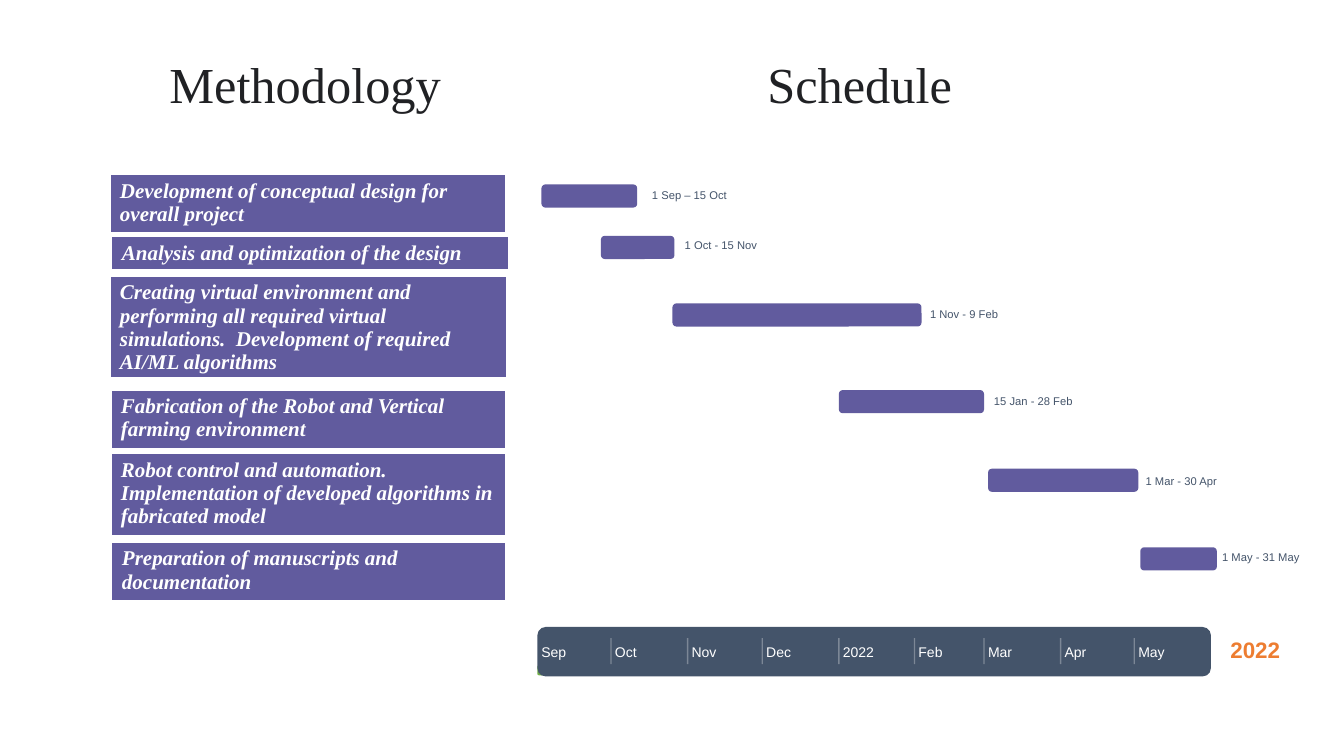
"""Build the methodology and schedule slide with its timeline."""
from dataclasses import dataclass

from lxml import etree
from pptx import Presentation
from pptx.dml.color import RGBColor
from pptx.enum.shapes import MSO_CONNECTOR, MSO_SHAPE
from pptx.enum.text import MSO_ANCHOR, PP_ALIGN
from pptx.oxml.ns import qn
from pptx.util import Pt

LEFT, CENTER, RIGHT = PP_ALIGN.LEFT, PP_ALIGN.CENTER, PP_ALIGN.RIGHT
MIDDLE = MSO_ANCHOR.MIDDLE
ROUNDED = MSO_SHAPE.ROUNDED_RECTANGLE
STRAIGHT = MSO_CONNECTOR.STRAIGHT
PX = 9144


@dataclass(frozen=True)
class Theme:
    serif: str = "Times New Roman"
    sans: str = "Arial"
    white: str = "FFFFFF"
    title: str = "202124"
    purple: str = "615B9E"
    slate: str = "44546A"
    green: str = "70AD47"
    orange: str = "ED7D31"
    title_size: int = 36
    step_size: int = 15
    year_size: int = 16
    month_size: int = 10
    date_size: int = 8


THEME = Theme()

presentation = Presentation()
presentation.slide_width = 1333 * PX
presentation.slide_height = 750 * PX
slide = presentation.slides.add_slide(presentation.slide_layouts[6])
shapes = slide.shapes


def add_text(frame, text, font, size, color, bold=False, italic=False, align=LEFT):
    frame.word_wrap = True
    paragraph = frame.paragraphs[0]
    paragraph.alignment = align
    run = paragraph.add_run()
    run.text = text
    run.font.name = font
    run.font.size = Pt(size)
    run.font.bold = bold
    run.font.italic = italic
    run.font.color.rgb = RGBColor.from_string(color)
    return paragraph


def add_box(left, top, width, height, fill=None):
    box = (left * PX, top * PX, width * PX, height * PX)
    if fill:
        bar = shapes.add_shape(ROUNDED, *box)
        bar.shadow.inherit = False
        bar.fill.solid()
        bar.fill.fore_color.rgb = RGBColor.from_string(fill)
        bar.line.fill.background()
        return bar
    frame = shapes.add_textbox(*box).text_frame
    frame.margin_left = frame.margin_right = 0
    frame.margin_top = frame.margin_bottom = 0
    frame.vertical_anchor = MIDDLE
    return frame


steps = [
    ("Development of conceptual design for overall project", 109, 173, 392, 59),
    ("Analysis and optimization of the design", 111, 235, 393, 34),
    ("Creating virtual environment and performing all required virtual simulations.  "
     "Development of required AI/ML algorithms", 109, 274, 393, 102),
    ("Fabrication of the Robot and Vertical farming environment", 110, 387, 391, 59),
    ("Robot control and automation. Implementation of developed algorithms in "
     "fabricated model", 110, 450, 391, 83),
    ("Preparation of manuscripts and documentation", 111, 538, 390, 59),
]
for text, left, top, width, height in steps:
    table = shapes.add_table(1, 1, left * PX, top * PX, width * PX, height * PX).table
    table.first_row = False
    table.horz_banding = False
    cell = table.cell(0, 0)
    add_text(cell.text_frame, text, THEME.serif, THEME.step_size, THEME.white, True, True)
    properties = cell._tc.get_or_add_tcPr()
    for side, points in (("lnL", 1), ("lnR", 1), ("lnT", 1), ("lnB", 3)):
        border = etree.SubElement(properties, qn(f"a:{side}"), w=str(Pt(points)))
        border_fill = etree.SubElement(border, qn("a:solidFill"))
        etree.SubElement(border_fill, qn("a:srgbClr"), val=THEME.white)
    cell.fill.solid()
    cell.fill.fore_color.rgb = RGBColor.from_string(THEME.purple)

periods = [
    ("1 Sep – 15 Oct", 537, 183, 95, 639, 187, 82),
    ("1 Oct - 15 Nov", 596, 234, 73, 669, 237, 82),
    ("1 Nov - 9 Feb", 667, 301, 247, 919, 305, 71),
    ("15 Jan - 28 Feb", 832, 387, 144, 980, 391, 84),
    ("1 Mar - 30 Apr", 980, 465, 149, 1131, 471, 76),
    ("1 May - 31 May", 1131, 543, 76, 1207, 546, 82),
]
for dates, bar_left, bar_top, bar_width, label_left, label_top, label_width in periods:
    add_box(bar_left, bar_top, bar_width, 23, THEME.purple)
    label = add_box(label_left, label_top, label_width, 13)
    add_text(label, dates, THEME.sans, THEME.date_size, THEME.slate, align=RIGHT)

axis_left, axis_width = 533, 668
add_box(axis_left, 660, 70, 10, THEME.green)
add_box(axis_left, 622, axis_width, 49, THEME.slate)
months = [("Sep", 30), ("Oct", 31), ("Nov", 30), ("Dec", 31), ("2022", 31),
          ("Feb", 28), ("Mar", 31), ("Apr", 30), ("May", 31)]
total_days = sum(days for month, days in months)
elapsed_days = 0
for month, days in months:
    month_left = axis_left + round(axis_width * elapsed_days / total_days)
    if elapsed_days:
        tick = shapes.add_connector(
            STRAIGHT, month_left * PX, 633 * PX, month_left * PX, 659 * PX)
        tick.line.width = Pt(1)
        tick.line.color.rgb = RGBColor.from_string(THEME.white)
        tick_color = tick.line._ln.find(".//" + qn("a:srgbClr"))
        etree.SubElement(tick_color, qn("a:alpha"), val="30000")
        etree.SubElement(tick._element.spPr, qn("a:effectLst"))
    add_text(add_box(month_left + 4, 638, 40, 17), month,
             THEME.sans, THEME.month_size, THEME.white)
    elapsed_days += days

add_text(add_box(1215, 631, 60, 27), "2022", THEME.sans, THEME.year_size,
         THEME.orange, bold=True, align=CENTER)

title = add_box(109, 47, 1180, 71)
title.margin_left = 59 * PX
heading = add_text(title, "Methodology	Schedule", THEME.serif, THEME.title_size, THEME.title)
tab_stops = etree.SubElement(heading._p.get_or_add_pPr(), qn("a:tabLst"))
etree.SubElement(tab_stops, qn("a:tab"), pos=str(593 * PX), algn="l")

presentation.save("out.pptx")
